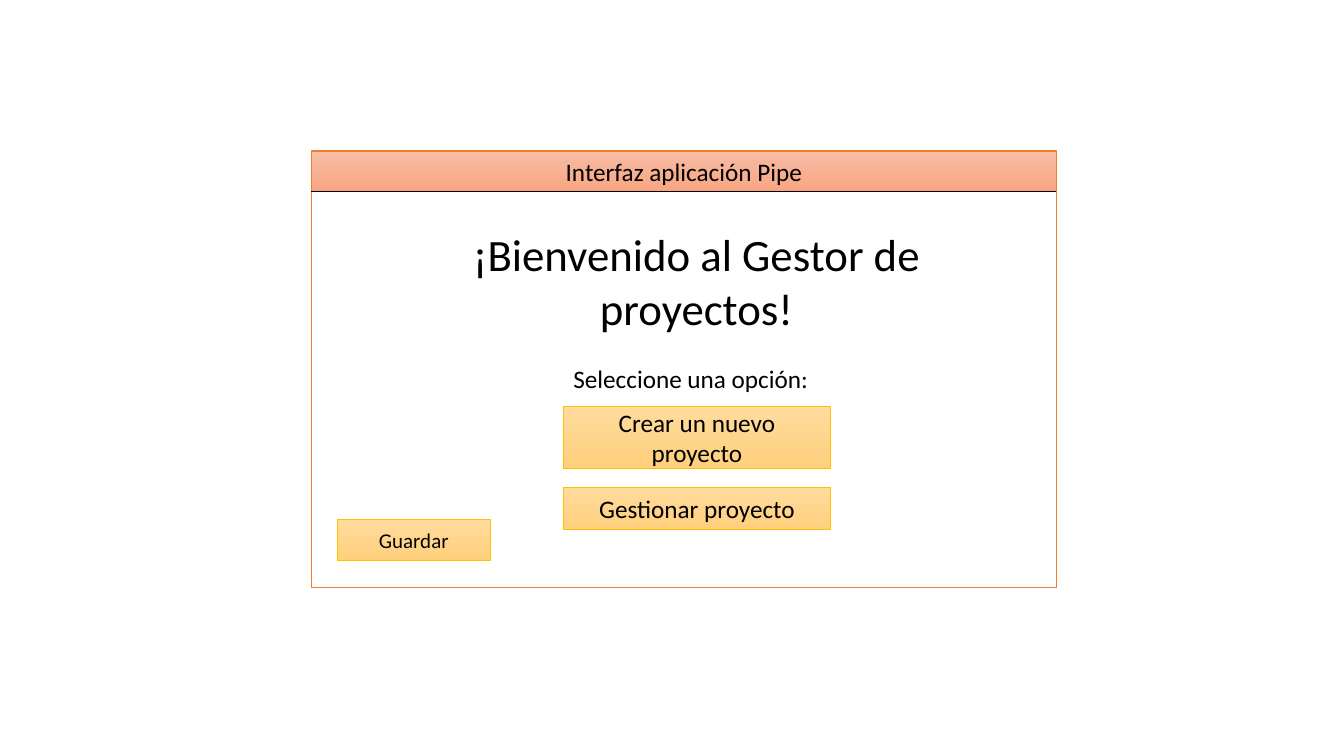
from lxml.etree import SubElement
from pptx import Presentation
from pptx.dml.color import RGBColor
from pptx.enum.shapes import MSO_CONNECTOR, MSO_SHAPE
from pptx.enum.text import MSO_ANCHOR, MSO_AUTO_SIZE, PP_ALIGN
from pptx.oxml.ns import qn
from pptx.util import Cm, Pt

WHITE = RGBColor(0xFF, 0xFF, 0xFF)
BLACK = RGBColor(0x00, 0x00, 0x00)
ORANGE = RGBColor(0xED, 0x7D, 0x31)
GOLD = RGBColor(0xFF, 0xC0, 0x00)
HEADER_SHADES = (RGBColor(0xF7, 0xBD, 0xA5), RGBColor(0xF8, 0xA5, 0x82))
BUTTON_SHADES = (RGBColor(0xFF, 0xDB, 0x9E), RGBColor(0xFF, 0xD0, 0x7C))

FONT = "Calibri"
HEADER_HEIGHT = Cm(1.02)
COLUMN_LEFT, COLUMN_WIDTH = Cm(6.35), Cm(6.73)

# Button label, left, top, width, height (within the window) and text size
BUTTONS = [
    ("Crear un nuevo proyecto", COLUMN_LEFT, Cm(6.43), COLUMN_WIDTH, Cm(1.57), 18),
    ("Gestionar proyecto", COLUMN_LEFT, Cm(8.48), COLUMN_WIDTH, Cm(1.04), 18),
    ("Guardar", Cm(0.66), Cm(9.27), Cm(3.84), Cm(1.04), 15),
]


def write(shape, text, size, align=PP_ALIGN.CENTER, anchor=MSO_ANCHOR.TOP):
    frame = shape.text_frame
    frame.text = text
    frame.word_wrap = True
    frame.auto_size = MSO_AUTO_SIZE.NONE
    frame.vertical_anchor = anchor
    para = frame.paragraphs[0]
    para.alignment = align
    para.line_spacing = 1.0
    for span in para.runs:
        span.font.name = FONT
        span.font.size = Pt(size)
        span.font.color.rgb = BLACK


def add_panel(page, left, top, width, height, shades, line_color, line_width):
    panel = page.shapes.add_shape(MSO_SHAPE.RECTANGLE, left, top, width, height)
    panel.shadow.inherit = False
    if len(shades) == 1:
        panel.fill.solid()
        panel.fill.fore_color.rgb = shades[0]
    else:
        panel.fill.gradient()
        panel.fill.gradient_angle = 270
        for stop, shade in zip(panel.fill.gradient_stops, shades):
            stop.color.rgb = shade
    panel.line.color.rgb = line_color
    panel.line.width = Pt(line_width)
    return panel


def add_header(page, left, top, width):
    header = add_panel(page, left, top, width, HEADER_HEIGHT, HEADER_SHADES, ORANGE, 0.5)
    write(header, "Interfaz aplicación Pipe", 18)
    bottom = top + HEADER_HEIGHT
    rule = page.shapes.add_connector(
        MSO_CONNECTOR.STRAIGHT, left, bottom, left + width, bottom)
    rule.line.color.rgb = BLACK
    rule.line.width = Pt(0.5)
    SubElement(rule.element.spPr, qn("a:effectLst"))


def add_welcome(page, left, top):
    title = page.shapes.title
    title.left, title.top = left + Cm(3.66), top + Cm(1.78)
    title.width, title.height = Cm(12.09), Cm(3)
    write(title, "¡Bienvenido al Gestor de proyectos!", 32)

    prompt = page.shapes.add_textbox(
        left + COLUMN_LEFT, top + Cm(5.21), COLUMN_WIDTH, Cm(1.02))
    write(prompt, "Seleccione una opción:", 18, PP_ALIGN.LEFT)


def add_buttons(page, left, top):
    for label, across, down, width, height, size in BUTTONS:
        button = add_panel(page, left + across, top + down, width, height,
                           BUTTON_SHADES, GOLD, 0.5)
        write(button, label, size, anchor=MSO_ANCHOR.MIDDLE)


def add_window(page, left, top, width, height):
    window = add_panel(page, left, top, width, height, (WHITE,), ORANGE, 1)
    # The title sits in front of the window's white background
    window.element.addnext(page.shapes.title.element)
    add_header(page, left, top, width)
    add_welcome(page, left, top)
    add_buttons(page, left, top)


def main():
    deck = Presentation()
    deck.slide_width, deck.slide_height = Cm(33.87), Cm(19.05)
    page = deck.slides.add_slide(deck.slide_layouts[5])
    add_window(page, Cm(7.85), Cm(3.81), Cm(18.77), Cm(11))
    deck.save("out.pptx")


if __name__ == "__main__":
    main()
